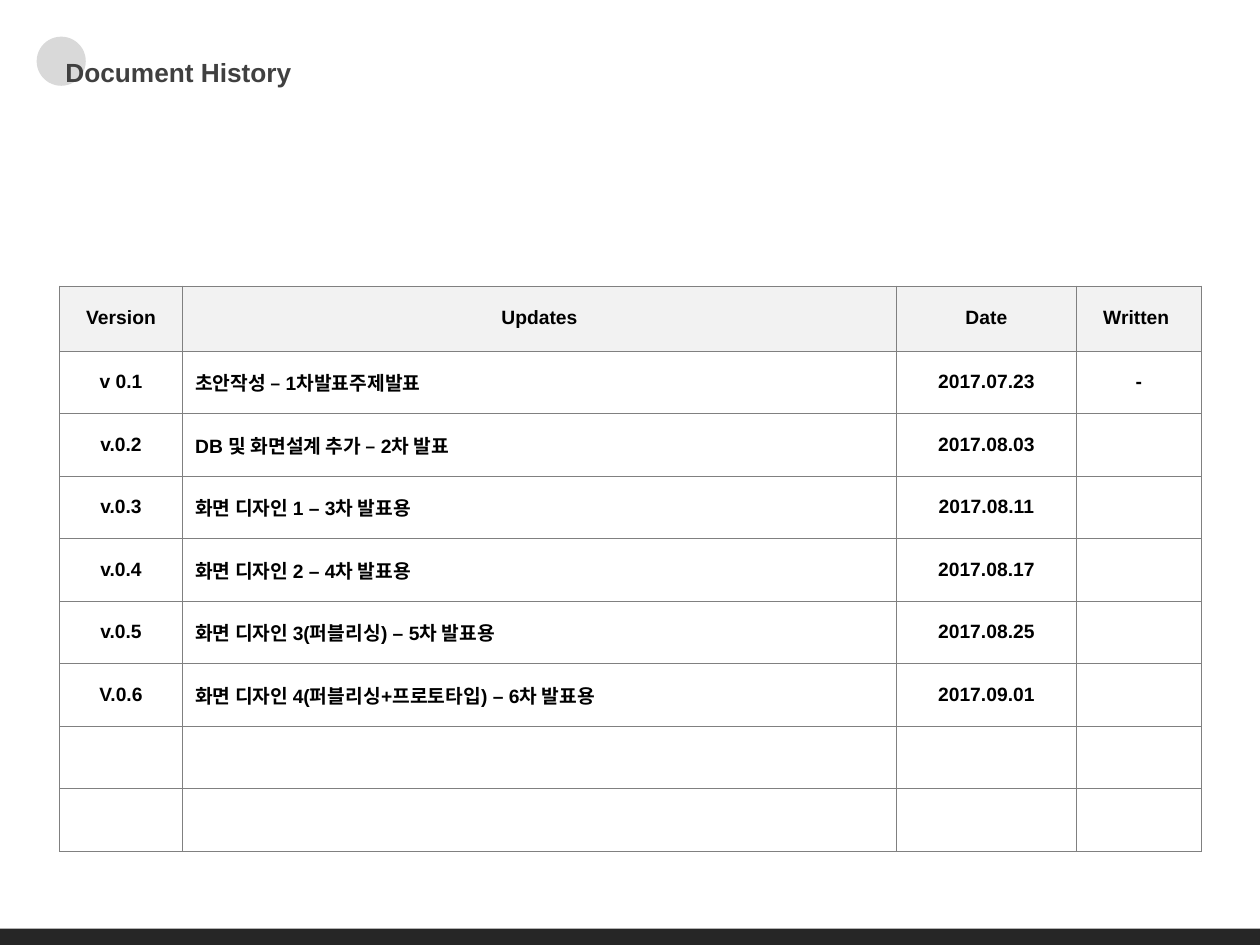
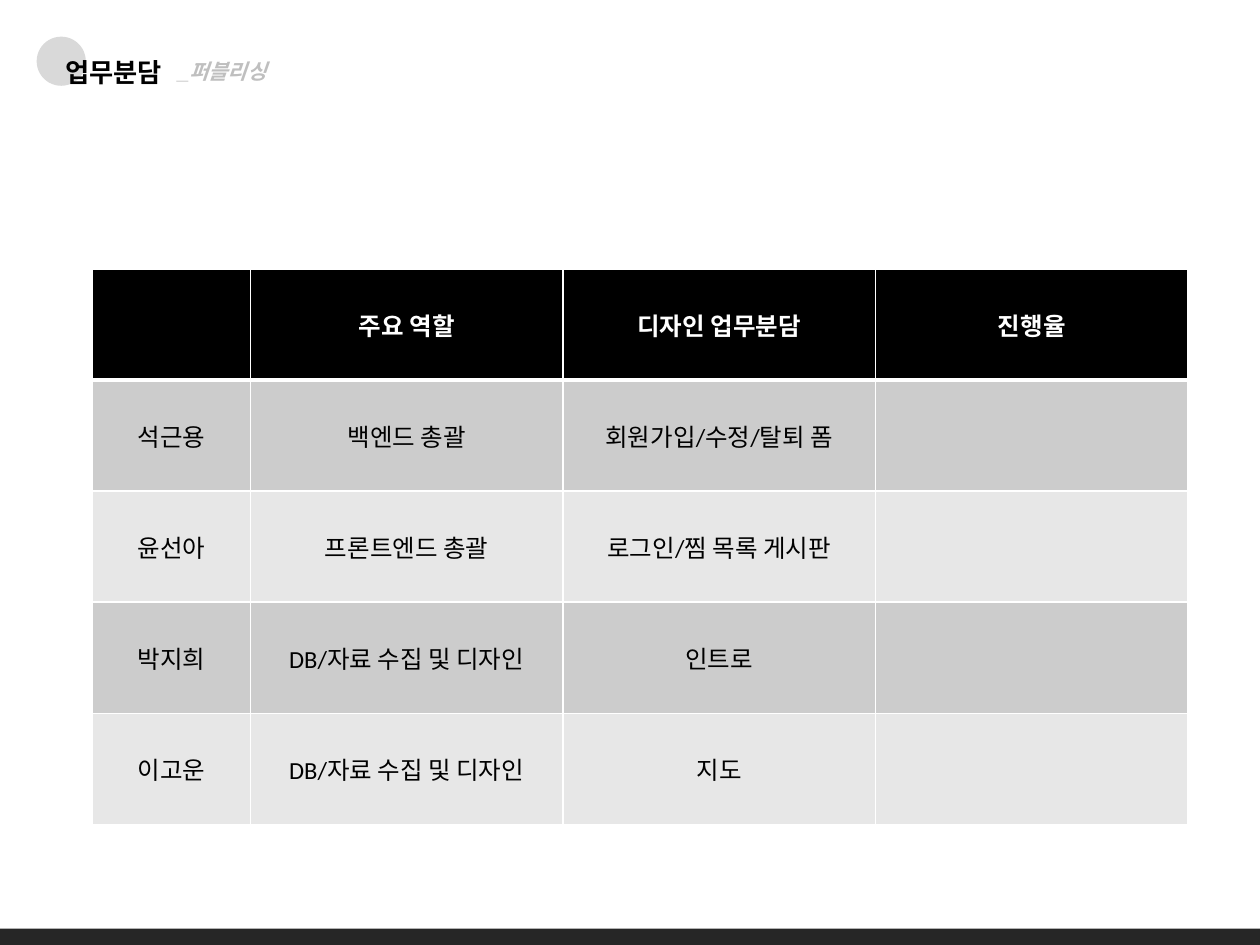
import dataclasses
import typing

import lxml.etree
import pptx
import pptx.dml.color
import pptx.enum.shapes
import pptx.enum.text
import pptx.oxml.ns
import pptx.slide
import pptx.table
import pptx.text.text
import pptx.util

Cm = pptx.util.Cm
Align = pptx.enum.text.PP_ALIGN
Anchor = pptx.enum.text.MSO_ANCHOR
Preset = pptx.enum.shapes.MSO_SHAPE


@dataclasses.dataclass(frozen=True)
class Theme:
    heading_font: str = "Arial"
    body_font: str = "Calibri"
    black: str = "000000"
    white: str = "FFFFFF"
    title_gray: str = "404040"
    subtitle_gray: str = "BFBFBF"
    dot: str = "D9D9D9"
    footer: str = "262626"
    history_header: str = "F2F2F2"
    history_rule: str = "808080"
    dark_band: str = "CCCCCC"
    light_band: str = "E7E7E7"
    title_size: float = 15
    subtitle_size: float = 12
    history_size: float = 11
    roles_size: float = 14


THEME = Theme()


@dataclasses.dataclass(frozen=True)
class Box:
    left: float
    top: float
    width: float
    height: float

    def lengths(self) -> tuple[pptx.util.Length, ...]:
        return Cm(self.left), Cm(self.top), Cm(self.width), Cm(self.height)


@dataclasses.dataclass(frozen=True)
class Decoration:
    preset: Preset
    box: Box
    color: str


@dataclasses.dataclass(frozen=True)
class Grid:
    left: float
    top: float
    columns: tuple[float, ...]
    header_height: float
    row_height: float
    rows: tuple[tuple[str, ...], ...]
    font: str
    size: float
    header_fill: str
    header_color: str
    bands: tuple[typing.Optional[str], ...]
    body_bold: bool
    rule_color: str
    rule_width: float
    header_rule_width: float
    left_columns: tuple[int, ...] = ()


DECORATIONS = (
    Decoration(Preset.OVAL, Box(0.74, 0.74, 0.99, 0.99), THEME.dot),
    Decoration(Preset.RECTANGLE, Box(0, 18.72, 25.4, 0.33), THEME.footer),
)

HISTORY = Grid(
    left=1.2, top=5.76,
    columns=(2.48, 14.39, 3.63, 2.52),
    header_height=1.31, row_height=1.26,
    rows=(
        ("Version", "Updates", "Date", "Written "),
        ("v 0.1", "초안작성 – 1차발표주제발표", "2017.07.23", "-"),
        ("v.0.2", "DB 및 화면설계 추가 – 2차 발표", "2017.08.03", ""),
        ("v.0.3", "화면 디자인 1 – 3차 발표용", "2017.08.11", ""),
        ("v.0.4", "화면 디자인 2 – 4차 발표용", "2017.08.17", ""),
        ("v.0.5", "화면 디자인 3(퍼블리싱) – 5차 발표용", "2017.08.25", ""),
        ("V.0.6", "화면 디자인 4(퍼블리싱+프로토타입) – 6차 발표용", "2017.09.01", ""),
        ("", "", "", ""),
        ("", "", "", ""),
    ),
    font=THEME.heading_font, size=THEME.history_size,
    header_fill=THEME.history_header, header_color=THEME.black,
    bands=(None,), body_bold=True,
    rule_color=THEME.history_rule, rule_width=0.25, header_rule_width=0.25,
    left_columns=(1,),
)

ROLES = Grid(
    left=1.86, top=5.42,
    columns=(3.19, 6.3, 6.3, 6.3),
    header_height=2.24, row_height=2.24,
    rows=(
        ("", "주요 역할", "디자인 업무분담", "진행율"),
        ("석근용", "백엔드 총괄", "회원가입/수정/탈퇴 폼", ""),
        ("윤선아", "프론트엔드 총괄", "로그인/찜 목록 게시판", ""),
        ("박지희", "DB/자료 수집 및 디자인", "인트로", ""),
        ("이고운", "DB/자료 수집 및 디자인", "지도", ""),
    ),
    font=THEME.body_font, size=THEME.roles_size,
    header_fill=THEME.black, header_color=THEME.white,
    bands=(THEME.dark_band, THEME.light_band), body_bold=False,
    rule_color=THEME.white, rule_width=1, header_rule_width=3,
)


def rgb(color: str) -> pptx.dml.color.RGBColor:
    return pptx.dml.color.RGBColor.from_string(color)


def write(frame: pptx.text.text.TextFrame, text: str, *, font: str, size: float, color: str,
          bold: bool = False, italic: bool = False, align: Align = Align.LEFT,
          spacing: float = 1.0) -> None:
    paragraph = frame.paragraphs[0]
    paragraph.alignment = align
    paragraph.line_spacing = spacing
    run = paragraph.add_run()
    run.text = text
    run.font.name = font
    run.font.size = pptx.util.Pt(size)
    run.font.bold = bold
    run.font.italic = italic
    run.font.color.rgb = rgb(color)


def add_heading(slide: pptx.slide.Slide, text: str, box: Box, anchor: Anchor, *,
                size: float, color: str, italic: bool = False) -> None:
    frame = slide.shapes.add_textbox(*box.lengths()).text_frame
    frame.word_wrap = True
    frame.vertical_anchor = anchor
    write(frame, text, font=THEME.heading_font, size=size, color=color,
          bold=True, italic=italic, spacing=0.9)


def add_decoration(slide: pptx.slide.Slide, decoration: Decoration) -> None:
    shape = slide.shapes.add_shape(decoration.preset, *decoration.box.lengths())
    shape.shadow.inherit = False
    shape.fill.solid()
    shape.fill.fore_color.rgb = rgb(decoration.color)
    shape.line.fill.background()


def set_borders(cell: pptx.table._Cell, color: str, widths: dict[str, float]) -> None:
    qn = pptx.oxml.ns.qn
    properties = cell._tc.get_or_add_tcPr()
    for index, (side, width) in enumerate(widths.items()):
        line = lxml.etree.Element(qn(f"a:ln{side}"), w=str(int(pptx.util.Pt(width))))
        fill = lxml.etree.SubElement(line, qn("a:solidFill"))
        lxml.etree.SubElement(fill, qn("a:srgbClr"), val=color)
        properties.insert(index, line)


def add_grid(slide: pptx.slide.Slide, grid: Grid) -> None:
    heights = [grid.header_height] + [grid.row_height] * (len(grid.rows) - 1)
    box = Box(grid.left, grid.top, sum(grid.columns), sum(heights))
    table = slide.shapes.add_table(len(heights), len(grid.columns), *box.lengths()).table
    table.first_row = False
    table.horz_banding = False
    for column, width in zip(table.columns, grid.columns):
        column.width = Cm(width)
    for row_index, (row, height, texts) in enumerate(zip(table.rows, heights, grid.rows)):
        row.height = Cm(height)
        header = row_index == 0
        fill = grid.header_fill if header else grid.bands[(row_index - 1) % len(grid.bands)]
        borders = {
            "L": grid.rule_width,
            "R": grid.rule_width,
            "T": grid.header_rule_width if row_index == 1 else grid.rule_width,
            "B": grid.header_rule_width if header else grid.rule_width,
        }
        for column_index, (cell, text) in enumerate(zip(row.cells, texts)):
            cell.vertical_anchor = Anchor.MIDDLE
            if fill:
                cell.fill.solid()
                cell.fill.fore_color.rgb = rgb(fill)
            else:
                cell.fill.background()
            set_borders(cell, grid.rule_color, borders)
            if text:
                flush_left = column_index in grid.left_columns and not header
                write(cell.text_frame, text, font=grid.font, size=grid.size,
                      color=grid.header_color if header else THEME.black,
                      bold=header or grid.body_bold,
                      align=Align.LEFT if flush_left else Align.CENTER)


def add_page(deck: typing.Any, title: str, title_width: float, title_color: str,
             grid: Grid) -> pptx.slide.Slide:
    slide = deck.slides.add_slide(deck.slide_layouts[6])
    for decoration in DECORATIONS:
        add_decoration(slide, decoration)
    add_heading(slide, title, Box(1.07, 0.99, title_width, 0.91), Anchor.BOTTOM,
                size=THEME.title_size, color=title_color)
    add_grid(slide, grid)
    return slide


def main() -> None:
    deck = pptx.Presentation()
    deck.slide_width = Cm(25.4)
    deck.slide_height = Cm(19.05)
    add_page(deck, "Document History", 5.23, THEME.title_gray, HISTORY)
    roles = add_page(deck, "업무분담", 8.31, THEME.black, ROLES)
    add_heading(roles, "_퍼블리싱", Box(3.33, 1.12, 8.97, 0.69), Anchor.TOP,
                size=THEME.subtitle_size, color=THEME.subtitle_gray, italic=True)
    deck.save("out.pptx")


if __name__ == "__main__":
    main()
